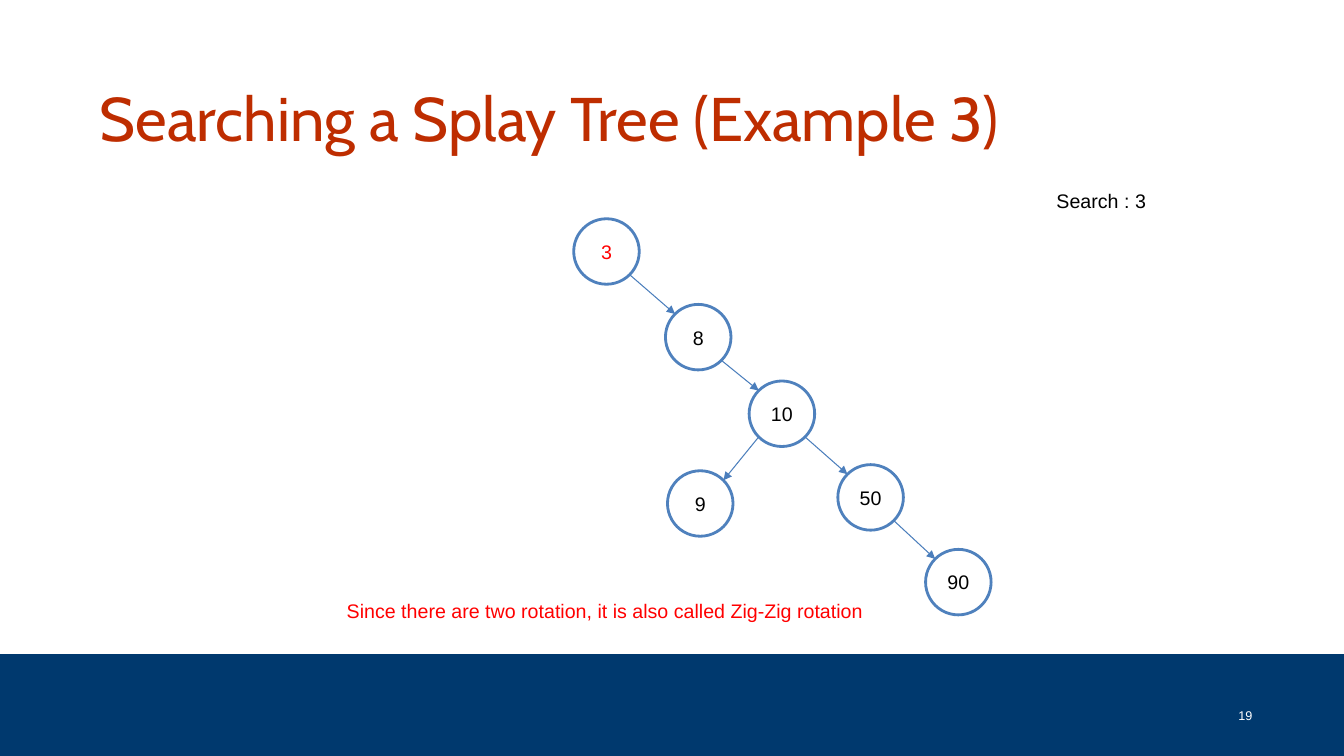
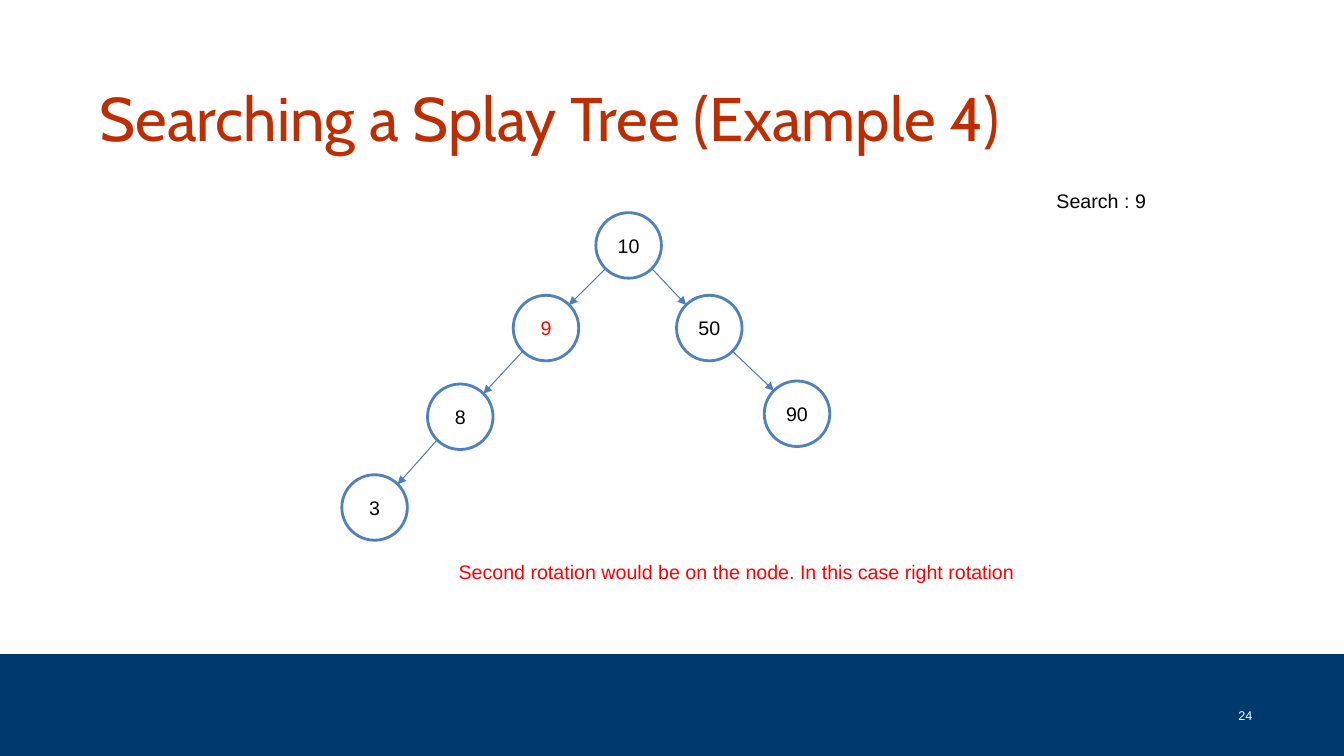
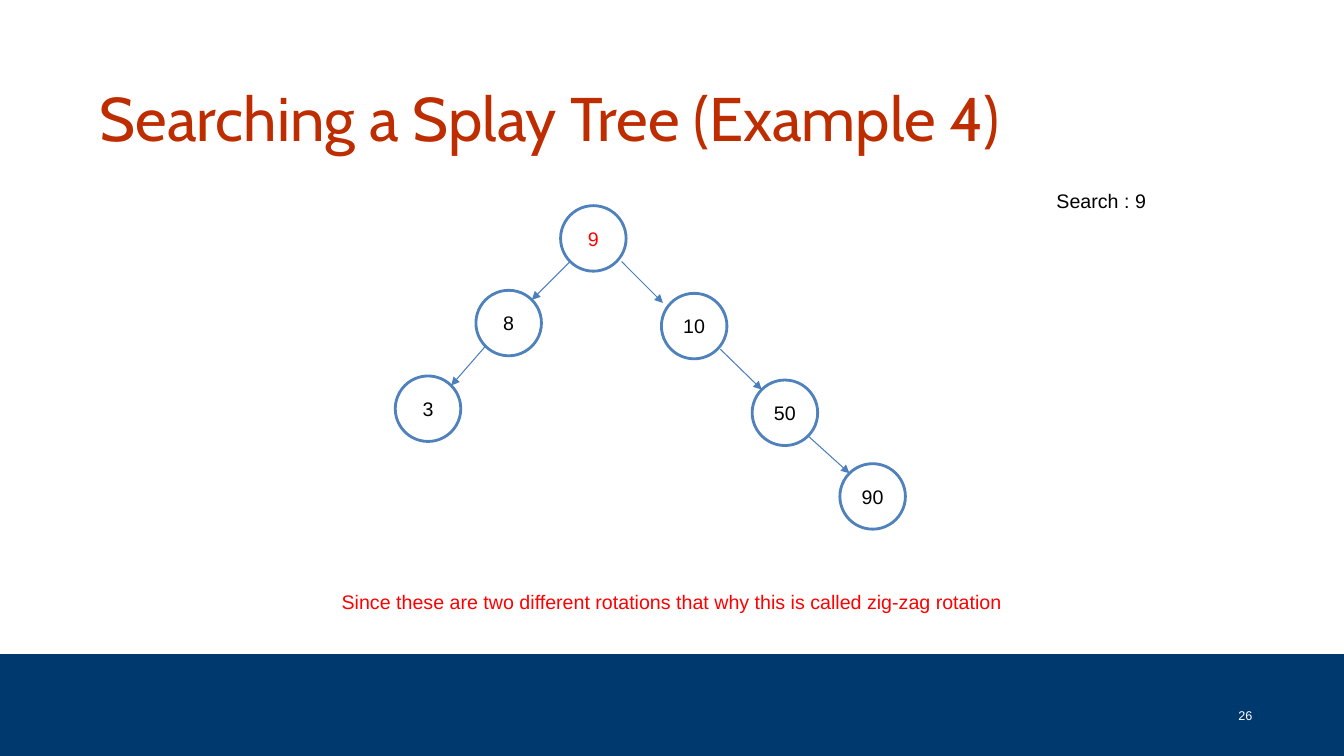
from collections import namedtuple
from math import sqrt

from lxml.etree import SubElement
from pptx import Presentation
from pptx.dml.color import RGBColor
from pptx.enum.shapes import MSO_CONNECTOR, MSO_SHAPE
from pptx.enum.text import MSO_ANCHOR, PP_ALIGN
from pptx.oxml.ns import qn
from pptx.util import Inches, Pt

Box = namedtuple("Box", "left top width height")

NAVY, RUST, RED = "00396E", "BE2D00", "FF0000"
BLACK, WHITE = "000000", "FFFFFF"
NODE_LINE, ARROW_LINE = "4F81BD", "4B7EBC"
BODY_FONT, TITLE_FONT = "Arial", "Cabin"
NODE_SIZE = 0.65
RIM_INSET = NODE_SIZE / 2 * (1 - 1 / sqrt(2))

PAGE = Box(0, 0, 13.33, 7.5)
BAND = Box(0, 6.49, 13.33, 1.01)
TITLE = Box(0.89, 0.33, 11.33, 1.25)
SEARCH = Box(10.38, 1.83, 1.09, 0.34)

SLIDES = [
    {
        "number": 19, "example": 3, "found": 3,
        "note": "Since there are two rotation, it is also called Zig-Zig rotation",
        "note_box": Box(3.34, 5.89, 5.35, 0.34),
        "tree_box": Box(5.69, 2.17, 4.14, 3.93),
        "nodes": {3: (0, 0), 8: (0.91, 0.85), 10: (1.74, 1.61),
                  9: (0.93, 2.5), 50: (2.62, 2.44), 90: (3.49, 3.28)},
        "edges": [(3, 8), (8, 10), (10, 9), (10, 50), (50, 90)],
    },
    {
        "number": 24, "example": 4, "found": 9,
        "note": "Second rotation would be on the node. In this case right rotation",
        "note_box": Box(4.45, 5.51, 5.74, 0.34),
        "tree_box": Box(3.39, 2.11, 4.84, 3.25),
        "nodes": {10: (2.52, 0), 9: (1.7, 0.82), 8: (0.85, 1.7),
                  3: (0, 2.6), 50: (3.32, 0.82), 90: (4.19, 1.67)},
        "edges": [(10, 9), (9, 8), (8, 3), (10, 50), (50, 90)],
    },
    {
        "number": 26, "example": 4, "found": 9,
        "note": "Since these are two different rotations that why this is called "
                "zig-zag rotation",
        "note_box": Box(3.29, 5.8, 6.78, 0.34),
        "tree_box": Box(3.92, 2.04, 5.06, 3.21),
        "nodes": {9: (1.64, 0), 8: (0.8, 0.84), 3: (0, 1.69),
                  10: (2.64, 0.87), 50: (3.54, 1.73), 90: (4.41, 2.56)},
        "edges": [(9, 8), (8, 3), (9, 10), (10, 50), (50, 90)],
        "shifts": {(9, 10): (0.05, -0.08), (10, 50): (0.03, 0)},
    },
]


def color(hex_string):
    """Turn a hex string into a colour."""
    return RGBColor.from_string(hex_string)


def inches(box):
    """Convert every measure of a box to a length."""
    return [Inches(value) for value in box]


def write(shape, text, size, hex_string, font=BODY_FONT,
          align=PP_ALIGN.LEFT, anchor=MSO_ANCHOR.TOP, wrap=True):
    """Put one styled paragraph into a shape."""
    frame = shape.text_frame
    frame.word_wrap = wrap
    frame.vertical_anchor = anchor
    paragraph = frame.paragraphs[0]
    paragraph.text = text
    paragraph.alignment = align
    paragraph.font.name = font
    paragraph.font.size = Pt(size)
    paragraph.font.color.rgb = color(hex_string)


def add_text(slide, box, *args, **style):
    """Add a text box with one styled paragraph."""
    write(slide.shapes.add_textbox(*inches(box)), *args, **style)


def add_filled(slide, kind, box, fill):
    """Add a flat preset shape without outline."""
    shape = slide.shapes.add_shape(kind, *inches(box))
    shape.shadow.inherit = False
    shape.fill.solid()
    shape.fill.fore_color.rgb = color(fill)
    shape.line.fill.background()
    return shape


def add_footer(slide, box, number):
    """Draw the bottom band with the slide number."""
    add_filled(slide, MSO_SHAPE.RECTANGLE, box, NAVY)
    number_box = Box(box.left + 12.14, box.top + 0.53, 0.38, 0.2)
    add_text(slide, number_box, str(number), 9, WHITE,
             align=PP_ALIGN.RIGHT, anchor=MSO_ANCHOR.BOTTOM)


def add_node(slide, left, top, key, text_color):
    """Draw one tree node as a circle with its key."""
    circle = add_filled(slide, MSO_SHAPE.OVAL,
                        Box(left, top, NODE_SIZE, NODE_SIZE), WHITE)
    circle.line.color.rgb = color(NODE_LINE)
    circle.line.width = Pt(2)
    write(circle, str(key), 14, text_color,
          align=PP_ALIGN.CENTER, anchor=MSO_ANCHOR.MIDDLE)


def add_arrow(slide, start, end):
    """Draw a thin arrow between two points."""
    arrow = slide.shapes.add_connector(MSO_CONNECTOR.STRAIGHT,
                                       *inches(start + end))
    arrow.line.color.rgb = color(ARROW_LINE)
    arrow.line.width = Pt(0.75)
    SubElement(arrow.line._get_or_add_ln(), qn("a:tailEnd"), type="triangle")
    SubElement(arrow._element.spPr, qn("a:effectLst"))


def add_tree(slide, box, nodes, edges, found, shifts):
    """Draw a tree whose node places are relative to the box."""
    places = {key: (box.left + x, box.top + y) for key, (x, y) in nodes.items()}
    for key, (left, top) in places.items():
        add_node(slide, left, top, key, RED if key == found else BLACK)
    near, far = RIM_INSET, NODE_SIZE - RIM_INSET
    for parent, child in edges:
        start_x, end_x = (near, far) if child < parent else (far, near)
        start_shift, end_shift = shifts.get((parent, child), (0, 0))
        parent_left, parent_top = places[parent]
        child_left, child_top = places[child]
        add_arrow(slide,
                  (parent_left + start_x + start_shift, parent_top + far),
                  (child_left + end_x + end_shift, child_top + near))


def add_tree_slide(presentation, content):
    """Add one slide showing a step of a splay tree search."""
    slide = presentation.slides.add_slide(presentation.slide_layouts[6])
    found = content["found"]
    add_footer(slide, BAND, content["number"])
    add_text(slide, TITLE,
             f"Searching a Splay Tree (Example {content['example']})",
             44, RUST, font=TITLE_FONT, anchor=MSO_ANCHOR.BOTTOM)
    add_text(slide, SEARCH, f"Search : {found}", 14, BLACK, wrap=False)
    add_text(slide, content["note_box"], content["note"], 14, RED, wrap=False)
    add_tree(slide, content["tree_box"], content["nodes"], content["edges"],
             found, content.get("shifts", {}))


def main():
    """Build and save the presentation."""
    presentation = Presentation()
    presentation.slide_width = Inches(PAGE.width)
    presentation.slide_height = Inches(PAGE.height)
    for content in SLIDES:
        add_tree_slide(presentation, content)
    presentation.save("out.pptx")


if __name__ == "__main__":
    main()
